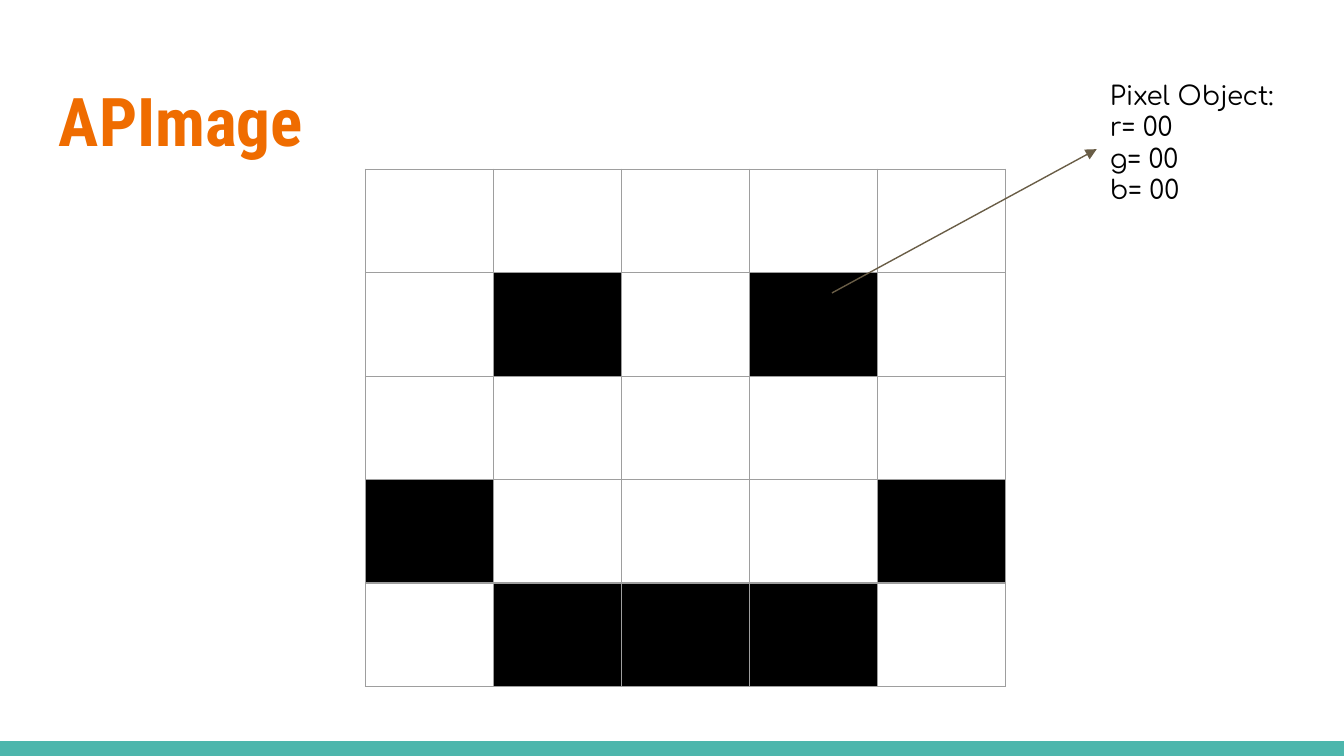
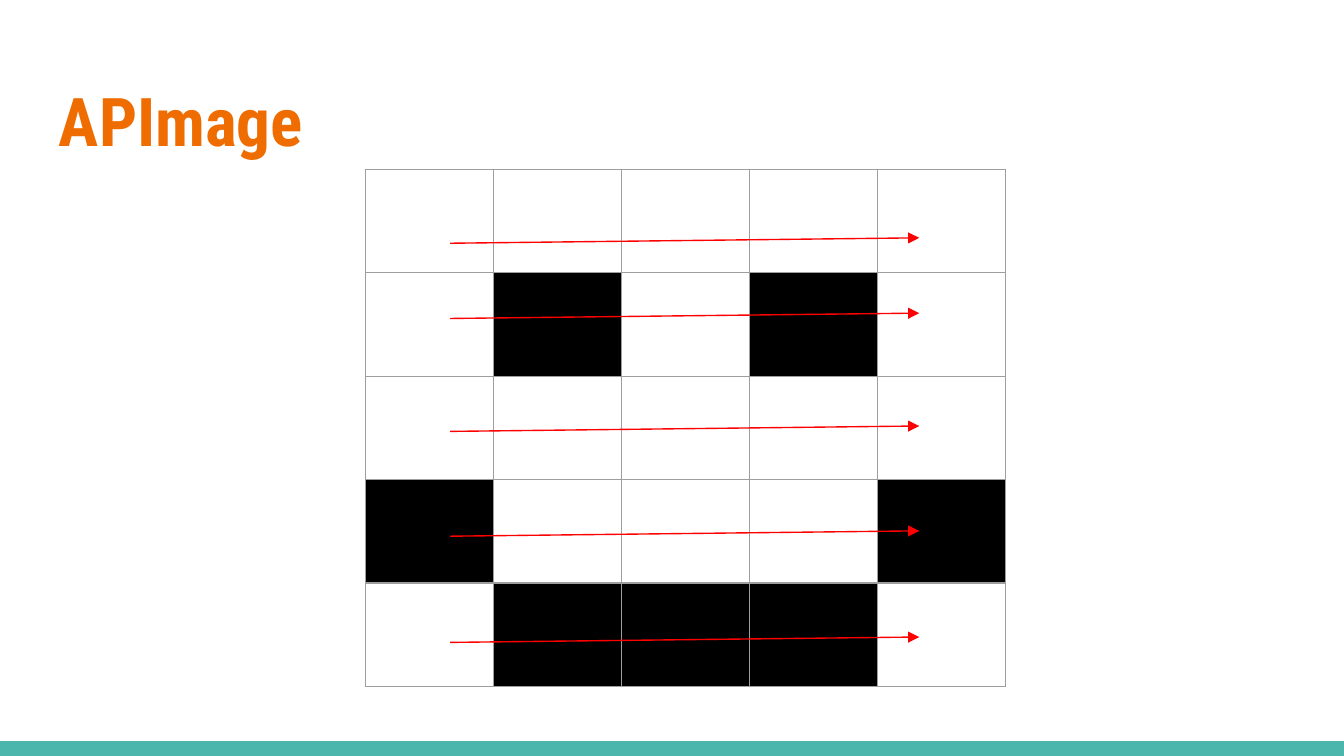
from lxml.etree import SubElement
from pptx import Presentation
from pptx.dml.color import RGBColor
from pptx.enum.shapes import MSO_CONNECTOR, MSO_SHAPE
from pptx.enum.text import MSO_ANCHOR
from pptx.oxml.ns import qn
from pptx.util import Inches, Pt

ORANGE, TEAL, BROWN = "EF6C00", "4DB6AC", "695D46"
RED, GREY, BLACK, WHITE = "FF0000", "9E9E9E", "000000", "FFFFFF"
TITLE_FONT, BODY_FONT = "Roboto Condensed", "Comfortaa"
SLIDE_WIDTH, SLIDE_HEIGHT = 10, 5.625
BAND_HEIGHT = 0.11
TITLE_BOX = (0.34, 0.49, 9.32, 0.77)
GRID_BOX = (2.72, 1.26, 4.76, 3.85)
NOTE_BOX = (8.16, 0.49, 2.14, 1.54)
FACE = (".....",
        ".#.#.",
        ".....",
        "#...#",
        ".###.")
SCAN_STARTS = (1.81, 2.37, 3.21, 3.99, 4.78)
SCAN_LEFT, SCAN_RIGHT, SCAN_RISE = 3.35, 6.84, 0.04


def color(value):
    """Turn a hex string into a colour."""
    return RGBColor.from_string(value)


def add_text(slide, box, lines, font, size, ink, bold=False):
    """Write one paragraph for each line in a box."""
    frame = slide.shapes.add_textbox(*map(Inches, box)).text_frame
    frame.word_wrap = True
    frame.vertical_anchor = MSO_ANCHOR.TOP
    frame.margin_left = frame.margin_right = Inches(0.1)
    frame.margin_top = frame.margin_bottom = Inches(0.1)
    for index, line in enumerate(lines):
        paragraph = frame.add_paragraph() if index else frame.paragraphs[0]
        run = paragraph.add_run()
        run.text = line
        run.font.name = font
        run.font.size = Pt(size)
        run.font.bold = bold
        run.font.color.rgb = color(ink)


def add_arrow(slide, start, end, ink):
    """Draw a thin line with a triangle at its end."""
    points = map(Inches, (*start, *end))
    arrow = slide.shapes.add_connector(MSO_CONNECTOR.STRAIGHT, *points)
    arrow.line.color.rgb = color(ink)
    arrow.line.width = Pt(0.75)
    SubElement(arrow.line._get_or_add_ln(), qn("a:tailEnd"), type="triangle")
    SubElement(arrow._element.spPr, qn("a:effectLst"))


def add_cell_borders(cell):
    """Give all four sides of a cell a grey line."""
    properties = cell._tc.get_or_add_tcPr()
    for index, side in enumerate(("lnL", "lnR", "lnT", "lnB")):
        border = properties.makeelement(qn(f"a:{side}"), {"w": str(Pt(0.75))})
        fill = SubElement(border, qn("a:solidFill"))
        SubElement(fill, qn("a:srgbClr"), val=GREY)
        properties.insert(index, border)


def add_pixel_grid(slide, box):
    """Fill a box with the pixels of the face."""
    left, top, width, height = map(Inches, box)
    rows, columns = len(FACE), len(FACE[0])
    grid = slide.shapes.add_table(rows, columns, left, top, width, height).table
    grid.first_row = grid.horz_banding = False
    for row, pixels in enumerate(FACE):
        for column, pixel in enumerate(pixels):
            cell = grid.cell(row, column)
            if pixel == "#":
                cell.fill.solid()
                cell.fill.fore_color.rgb = color(BLACK)
            else:
                cell.fill.background()
            add_cell_borders(cell)


def add_footer_band(slide, box):
    """Draw the plain band along the foot of the slide."""
    band = slide.shapes.add_shape(MSO_SHAPE.RECTANGLE, *map(Inches, box))
    band.shadow.inherit = False
    band.fill.solid()
    band.fill.fore_color.rgb = color(TEAL)
    band.line.fill.background()


def add_image_slide(deck):
    """Add a slide with the band, the title and the pixel grid."""
    slide = deck.slides.add_slide(deck.slide_layouts[6])
    slide.background.fill.solid()
    slide.background.fill.fore_color.rgb = color(WHITE)
    add_footer_band(slide, (0, SLIDE_HEIGHT - BAND_HEIGHT, SLIDE_WIDTH, BAND_HEIGHT))
    add_text(slide, TITLE_BOX, ["APImage"], TITLE_FONT, 36, ORANGE, bold=True)
    add_pixel_grid(slide, GRID_BOX)
    return slide


def add_pixel_note(slide, box):
    """Explain one pixel in a box that an arrow leads to."""
    add_arrow(slide, (6.19, 2.18), (box[0], 1.11), BROWN)
    lines = ["Pixel Object: ", "r= 00", "g= 00", "b= 00"]
    add_text(slide, box, lines, BODY_FONT, 14, BLACK)


def add_scan_arrows(slide):
    """Draw one arrow across each row of pixels."""
    for start in SCAN_STARTS:
        add_arrow(slide, (SCAN_LEFT, start), (SCAN_RIGHT, start - SCAN_RISE), RED)


deck = Presentation()
deck.slide_width, deck.slide_height = Inches(SLIDE_WIDTH), Inches(SLIDE_HEIGHT)
add_pixel_note(add_image_slide(deck), NOTE_BOX)
add_scan_arrows(add_image_slide(deck))
deck.save("out.pptx")
